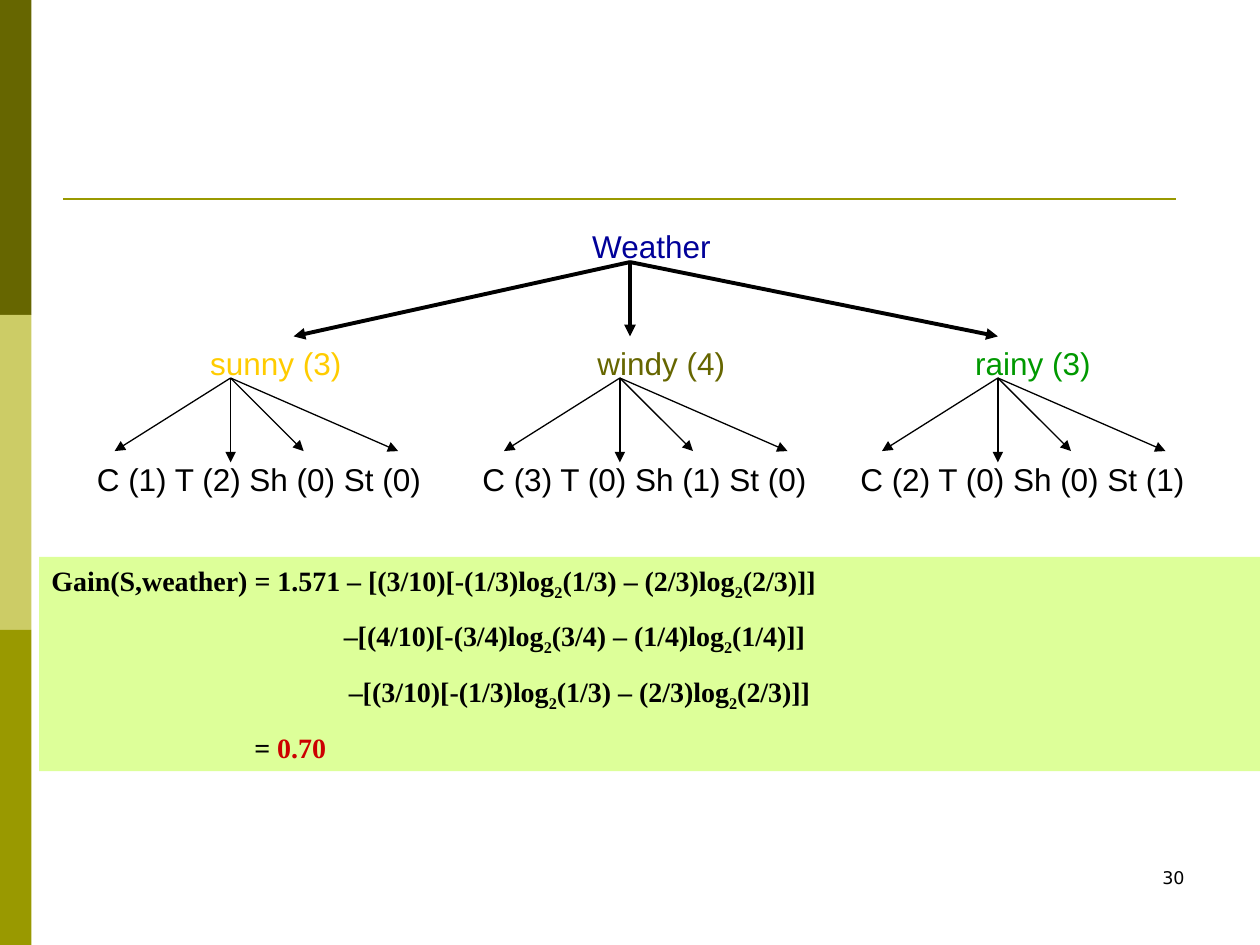
from dataclasses import dataclass

from lxml import etree
from pptx import Presentation
from pptx.dml.color import RGBColor
from pptx.enum.shapes import MSO_CONNECTOR, MSO_SHAPE
from pptx.enum.text import MSO_ANCHOR, PP_ALIGN
from pptx.oxml.ns import qn
from pptx.util import Inches, Pt

RECT = MSO_SHAPE.RECTANGLE
STRAIGHT = MSO_CONNECTOR.STRAIGHT
TOP = MSO_ANCHOR.TOP
LEFT, CENTER, RIGHT = PP_ALIGN.LEFT, PP_ALIGN.CENTER, PP_ALIGN.RIGHT


@dataclass(frozen=True)
class Theme:
    black: str = "000000"
    bands: tuple = ("666600", "CCCC66", "999900")
    rule: str = "999900"
    root: str = "000099"
    sunny: str = "FFCC00"
    windy: str = "666600"
    rainy: str = "009900"
    panel: str = "DDFF99"
    result: str = "CC0000"
    tree_font: str = "Arial"
    formula_font: str = "Times New Roman"
    number_font: str = "DejaVu Sans"
    tree_size: int = 18
    formula_size: int = 16
    number_size: int = 10


THEME = Theme()
BRANCHES = [
    ("sunny (3)", THEME.sunny, "C (1) T (2) Sh (0) St (0)"),
    ("windy (4)", THEME.windy, "C (3) T (0) Sh (1) St (0)"),
    ("rainy (3)", THEME.rainy, "C (2) T (0) Sh (0) St (1)"),
]
BRANCH_TABS = (1.42, 4.48, 7.43)
LEAF_TABS = (3.06, 6.06)
ROOT = (5, 2.08)
BRANCH_ENDS = (2.33, 5, 7.92)
LEAF_STARTS = (1.83, 4.92, 7.92)
LEAF_OFFSETS = [(-0.92, 0.58), (0, 0.67), (0.58, 0.58), (1.33, 0.58)]
FORMULA = [
    (0, "Gain(S,weather) = 1.571 – [(3/10)[-(1/3)log₂(1/3) – (2/3)log₂(2/3)]]"),
    (2.32, "–[(4/10)[-(3/4)log₂(3/4) – (1/4)log₂(1/4)]]"),
    (2.36, "–[(3/10)[-(1/3)log₂(1/3) – (2/3)log₂(2/3)]]"),
]


def rgb(color):
    return RGBColor.from_string(color)


def add_rect(s, x, y, w, h, color):
    sp = s.shapes.add_shape(RECT, Inches(x), Inches(y), Inches(w), Inches(h))
    sp.shadow.inherit = False
    sp.fill.solid()
    sp.fill.fore_color.rgb = rgb(color)
    sp.line.fill.background()
    return sp


def add_line(s, start, end, color, width, arrow=True):
    ends = [Inches(v) for v in (*start, *end)]
    line = s.shapes.add_connector(STRAIGHT, *ends)
    line.line.color.rgb = rgb(color)
    line.line.width = Pt(width)
    if arrow:
        ln = line.line._get_or_add_ln()
        etree.SubElement(ln, qn("a:tailEnd"), type="triangle")
    etree.SubElement(line._element.spPr, qn("a:effectLst"))


def add_textbox(s, x, y, w, h):
    box = s.shapes.add_textbox(Inches(x), Inches(y), Inches(w), Inches(h))
    box.text_frame.word_wrap = True
    return box.text_frame


def add_paragraph(tf, font, size, align=LEFT, before=0, tabs=(), tab_align="l", bold=False):
    first = tf.paragraphs[0]
    p = tf.add_paragraph() if first.runs else first
    p.alignment = align
    if before:
        p.space_before = Pt(before)
    if tabs:
        tab_list = etree.SubElement(p._p.get_or_add_pPr(), qn("a:tabLst"))
        for pos in tabs:
            etree.SubElement(tab_list, qn("a:tab"), pos=str(Inches(pos)), algn=tab_align)
    p.font.name = font
    p.font.size = Pt(size)
    p.font.bold = bold
    return p


def add_run(p, text, color, subscript=False):
    r = p.add_run()
    r.text = text
    r.font.color.rgb = rgb(color)
    if subscript:
        r._r.get_or_add_rPr().set("baseline", "-25000")


def add_background(s):
    for i, color in enumerate(THEME.bands):
        add_rect(s, 0, 2.5 * i, 0.25, 2.5, color)
    add_line(s, (0.5, 1.58), (9.33, 1.58), THEME.rule, 1.5, arrow=False)


def add_tree(s):
    tf = add_textbox(s, 0.67, 1.75, 9, 2.23)
    style = (THEME.tree_font, THEME.tree_size)
    add_run(add_paragraph(tf, *style, align=CENTER), "Weather", THEME.root)
    p = add_paragraph(tf, *style, before=45.2, tabs=BRANCH_TABS, tab_align="ctr")
    for label, color, _ in BRANCHES:
        add_run(p, "\t" + label, color)
    p = add_paragraph(tf, *style, before=45.2, tabs=LEAF_TABS)
    add_run(p, "\t".join(leaf for _, _, leaf in BRANCHES), THEME.black)

    for x in BRANCH_ENDS:
        add_line(s, ROOT, (x, 2.67), THEME.black, 2.25)
    for x in LEAF_STARTS:
        for dx, dy in LEAF_OFFSETS:
            add_line(s, (x, 3), (x + dx, 3 + dy), THEME.black, 0.75)


def add_formula_line(tf, indent):
    p = add_paragraph(
        tf, THEME.formula_font, THEME.formula_size, bold=True,
        before=10 if tf.paragraphs[0].runs else 0,
        tabs=(indent,) if indent else (),
    )
    return p, "\t" if indent else ""


def add_formula(s):
    tf = add_rect(s, 0.31, 4.42, 9.69, 1.7, THEME.panel).text_frame
    tf.word_wrap = True
    tf.vertical_anchor = TOP
    for indent, text in FORMULA:
        p, lead = add_formula_line(tf, indent)
        for i, part in enumerate((lead + text).split("₂")):
            if i:
                add_run(p, "2", THEME.black, subscript=True)
            add_run(p, part, THEME.black)
    p, lead = add_formula_line(tf, 1.61)
    add_run(p, lead + "= ", THEME.black)
    add_run(p, "0.70", THEME.result)


def add_page_number(s):
    tf = add_textbox(s, 7.17, 6.83, 2.33, 0.5)
    p = add_paragraph(tf, THEME.number_font, THEME.number_size, align=RIGHT)
    add_run(p, "30", THEME.black)


def main():
    prs = Presentation()
    prs.slide_width, prs.slide_height = Inches(10), Inches(7.5)
    s = prs.slides.add_slide(prs.slide_layouts[6])
    add_background(s)
    add_tree(s)
    add_formula(s)
    add_page_number(s)
    prs.save("out.pptx")


if __name__ == "__main__":
    main()
